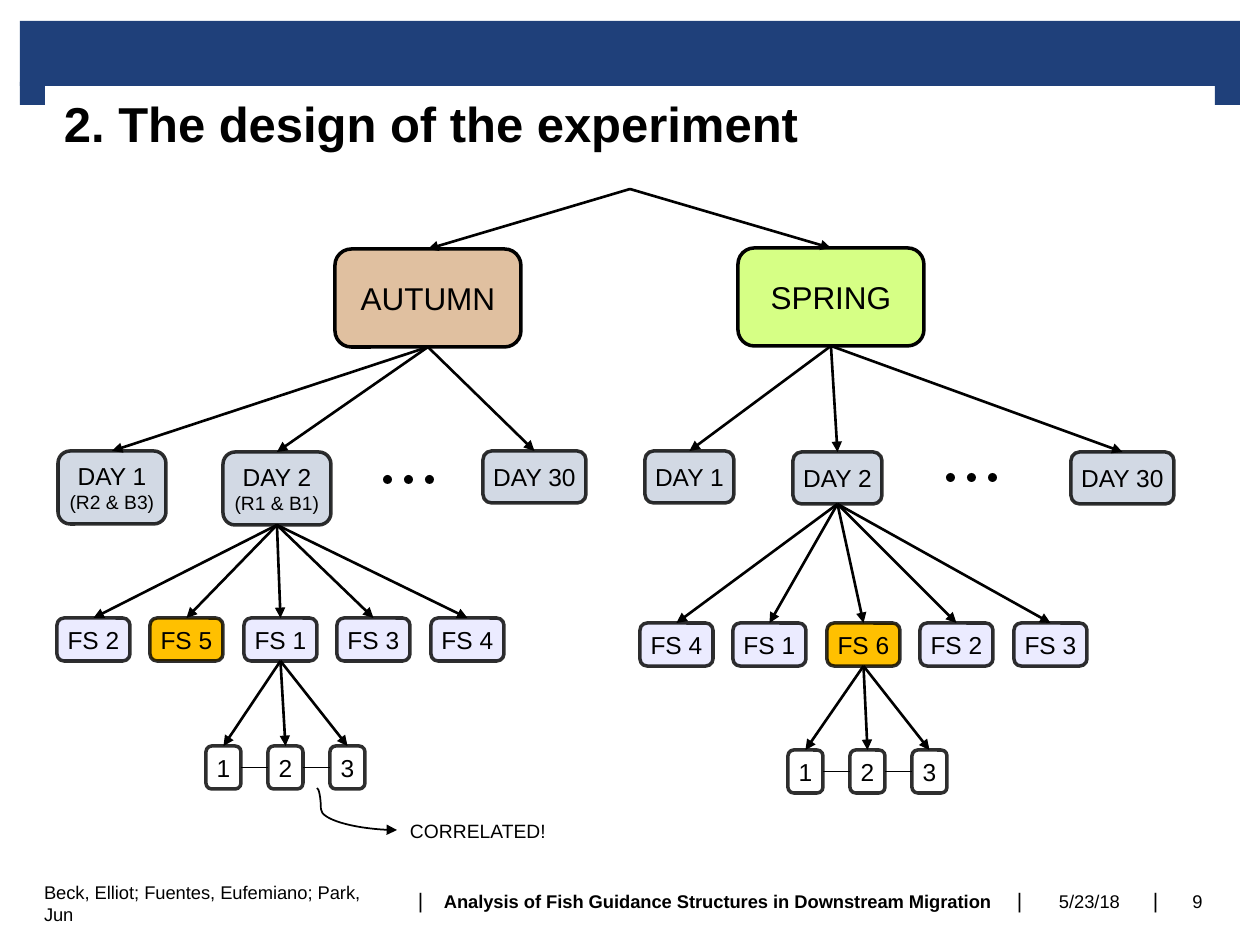
from lxml.etree import SubElement
from pptx import Presentation
from pptx.dml.color import RGBColor
from pptx.enum.shapes import MSO_CONNECTOR, MSO_SHAPE
from pptx.enum.text import MSO_ANCHOR, PP_ALIGN
from pptx.oxml.ns import qn
from pptx.util import Pt

PX = 914400 / 126

NAVY = RGBColor(0x1F, 0x40, 0x7A)
BLACK = RGBColor(0x00, 0x00, 0x00)
WHITE = RGBColor(0xFF, 0xFF, 0xFF)
TAN = RGBColor(0xE0, 0xC0, 0xA0)
LIME = RGBColor(0xD6, 0xFF, 0x85)
STEEL = RGBColor(0xD2, 0xD9, 0xE4)
LAVENDER = RGBColor(0xEB, 0xEB, 0xFF)
AMBER = RGBColor(0xFF, 0xC0, 0x00)

TOP, LEFT, BOTTOM, RIGHT = range(4)  # connection sites of a rounded rectangle

prs = Presentation()
prs.slide_width, prs.slide_height = round(1260 * PX), round(945 * PX)
slide = prs.slides.add_slide(prs.slide_layouts[6])


def add_box(preset, frame, fill, lines=(), outline=None):
    """Add a shape; lines holds (text, size) pairs, outline an opacity in percent."""
    box = slide.shapes.add_shape(preset, *(round(v * PX) for v in frame))
    box.shadow.inherit = False
    if fill is None:
        box.fill.background()
    else:
        box.fill.solid()
        box.fill.fore_color.rgb = fill
    if outline is None:
        box.line.fill.background()
    else:
        box.line.color.rgb = BLACK
        box.line.width = Pt(2)
        color = box.line._ln.find(".//" + qn("a:srgbClr"))
        SubElement(color, qn("a:alpha"), val=str(outline * 1000))
    body = box.text_frame
    body.margin_left = body.margin_right = body.margin_top = body.margin_bottom = 0
    body.vertical_anchor = MSO_ANCHOR.MIDDLE
    for i, (text, size) in enumerate(lines):
        paragraph = body.paragraphs[0] if i == 0 else body.add_paragraph()
        paragraph.alignment = PP_ALIGN.CENTER
        run = paragraph.add_run()
        run.text = text
        run.font.name, run.font.size = "Arial", Pt(size)
        run.font.color.rgb = BLACK
    return box


def add_line(weight, arrow, start=(0, 0), end=(0, 0), preset=MSO_CONNECTOR.STRAIGHT):
    """Add a line; ends left at (0, 0) are meant to be connected to shapes."""
    line = slide.shapes.add_connector(preset, *(round(v * PX) for v in start + end))
    line.line.color.rgb = BLACK
    line.line.width = Pt(weight)
    if arrow:
        SubElement(line.line._ln, qn("a:tailEnd"), type="triangle")
    SubElement(line._element.spPr, qn("a:effectLst"))
    return line


# Header band with its two tabs
for frame in ((20, 21, 1220, 65), (20, 82, 25, 23), (1215, 82, 25, 23)):
    add_box(MSO_SHAPE.RECTANGLE, frame, NAVY)

# Tree: season -> days -> fish structures of day 2 -> replicates of the third one
seasons = [
    dict(name="AUTUMN", fill=TAN, frame=(335, 249, 186, 98),
         days=[("DAY 1", "(R2 & B3)", (58, 451, 108, 73)),
               ("DAY 2", "(R1 & B1)", (223, 452, 108, 73)),
               ("DAY 30", "", (483, 451, 103, 52))],
         dots=(383, 475), structures=(57, 618), order="25134", amber="5",
         replicates=(206, 746)),
    dict(name="SPRING", fill=LIME, frame=(738, 248, 186, 98),
         days=[("DAY 1", "", (645, 451, 89, 52)),
               ("DAY 2", "", (793, 452, 89, 52)),
               ("DAY 30", "", (1071, 452, 103, 52))],
         dots=(946, 473), structures=(640, 623), order="41623", amber="6",
         replicates=(788, 750)),
]
for season in seasons:
    root = add_box(MSO_SHAPE.ROUNDED_RECTANGLE, season["frame"], season["fill"],
                   [(season["name"], 18)], outline=100)
    add_line(1.5, True, start=(630, 189)).end_connect(root, TOP)

    days = []
    for day, treatment, frame in season["days"]:
        lines = [(day, 14)] + ([(treatment, 11)] if treatment else [])
        days.append(add_box(MSO_SHAPE.ROUNDED_RECTANGLE, frame, STEEL, lines, 81))

    x, y = season["dots"]
    for i in range(3):
        add_box(MSO_SHAPE.OVAL, (x + 21 * i, y, 9, 9), BLACK)

    x, y = season["structures"]
    structures = [
        add_box(MSO_SHAPE.ROUNDED_RECTANGLE, (x + 187 * i // 2, y, 73, 43),
                AMBER if number == season["amber"] else LAVENDER,
                [("FS " + number, 14)], 81)
        for i, number in enumerate(season["order"])
    ]

    x, y = season["replicates"]
    replicates = [
        add_box(MSO_SHAPE.ROUNDED_RECTANGLE, (x + 62 * i, y, 35, 43), None,
                [(str(i + 1), 14)], 81)
        for i in range(3)
    ]

    for parent, children in ((root, days), (days[1], structures),
                             (structures[2], replicates)):
        for child in children:
            branch = add_line(1.5, True)
            branch.begin_connect(parent, BOTTOM)
            branch.end_connect(child, TOP)
    for first, second in zip(replicates, replicates[1:]):
        correlation = add_line(1, False)
        correlation.begin_connect(first, RIGHT)
        correlation.end_connect(second, LEFT)

# Curved arrow to the remark
pointer = add_line(1, True, (317, 788), (397, 830), MSO_CONNECTOR.CURVE)
geometry = pointer._element.spPr.find(qn("a:prstGeom"))
bends = geometry.find(qn("a:avLst"))
if bends is None:
    bends = SubElement(geometry, qn("a:avLst"))
SubElement(bends, qn("a:gd"), name="adj1", fmla="val 4900")

# Title, remark and footer: frame, text, size, bold, alignment, anchor, insets, wrap
START, CENTER = PP_ALIGN.LEFT, PP_ALIGN.CENTER
UPPER, MIDDLE = MSO_ANCHOR.TOP, MSO_ANCHOR.MIDDLE
texts = [
    ((44, 86, 1171, 103), "2. The design of the experiment", 28, True, START, UPPER, (20, 8), True),
    ((397, 813, 180, 36), "CORRELATED!", 11, False, START, UPPER, (13, 6), True),
    ((44, 871, 349, 64), "Beck, Elliot; Fuentes, Eufemiano; Park, Jun", 10.5, False, START, MIDDLE, (0, 0), False),
    ((433, 869, 570, 64), "Analysis of Fish Guidance Structures in Downstream Migration", 10.5, True, CENTER, MIDDLE, (0, 0), False),
    ((1034, 869, 111, 64), "5/23/18", 10.5, False, CENTER, MIDDLE, (0, 0), False),
    ((1169, 869, 57, 64), "9", 10.5, False, CENTER, MIDDLE, (0, 0), False),
]
texts += [((x, 868, 15, 64), "|", 12, False, CENTER, MIDDLE, (5, 6), False)
          for x in (413, 1012, 1148)]
for frame, text, size, bold, alignment, anchor, (side, top), wrap in texts:
    area = slide.shapes.add_textbox(*(round(v * PX) for v in frame))
    body = area.text_frame
    body.word_wrap = wrap
    body.vertical_anchor = anchor
    body.margin_left = body.margin_right = round(side * PX)
    body.margin_top = body.margin_bottom = round(top * PX)
    body.paragraphs[0].alignment = alignment
    run = body.paragraphs[0].add_run()
    run.text = text
    run.font.name, run.font.size, run.font.bold = "Arial", Pt(size), bold
    run.font.color.rgb = BLACK

prs.save("out.pptx")
